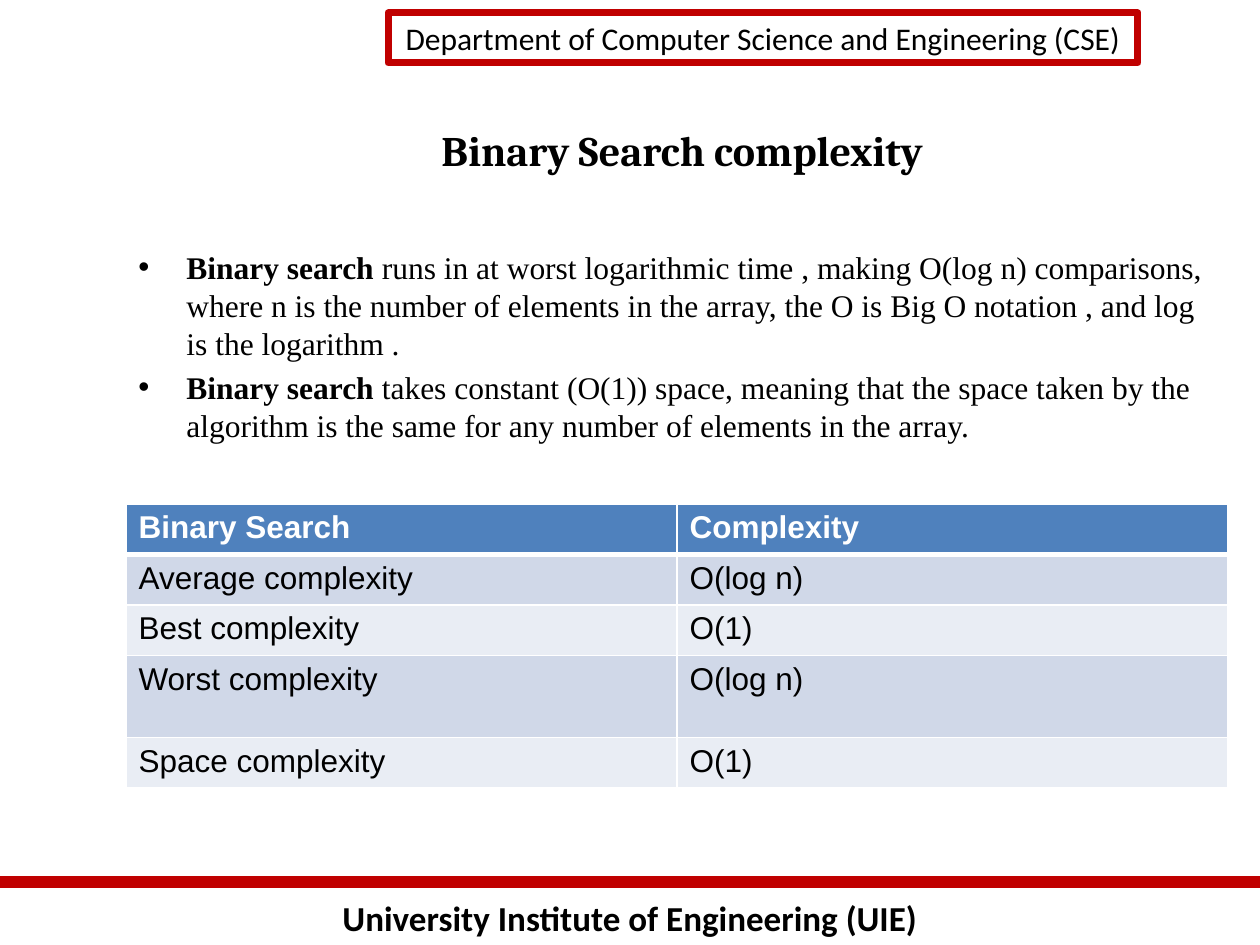
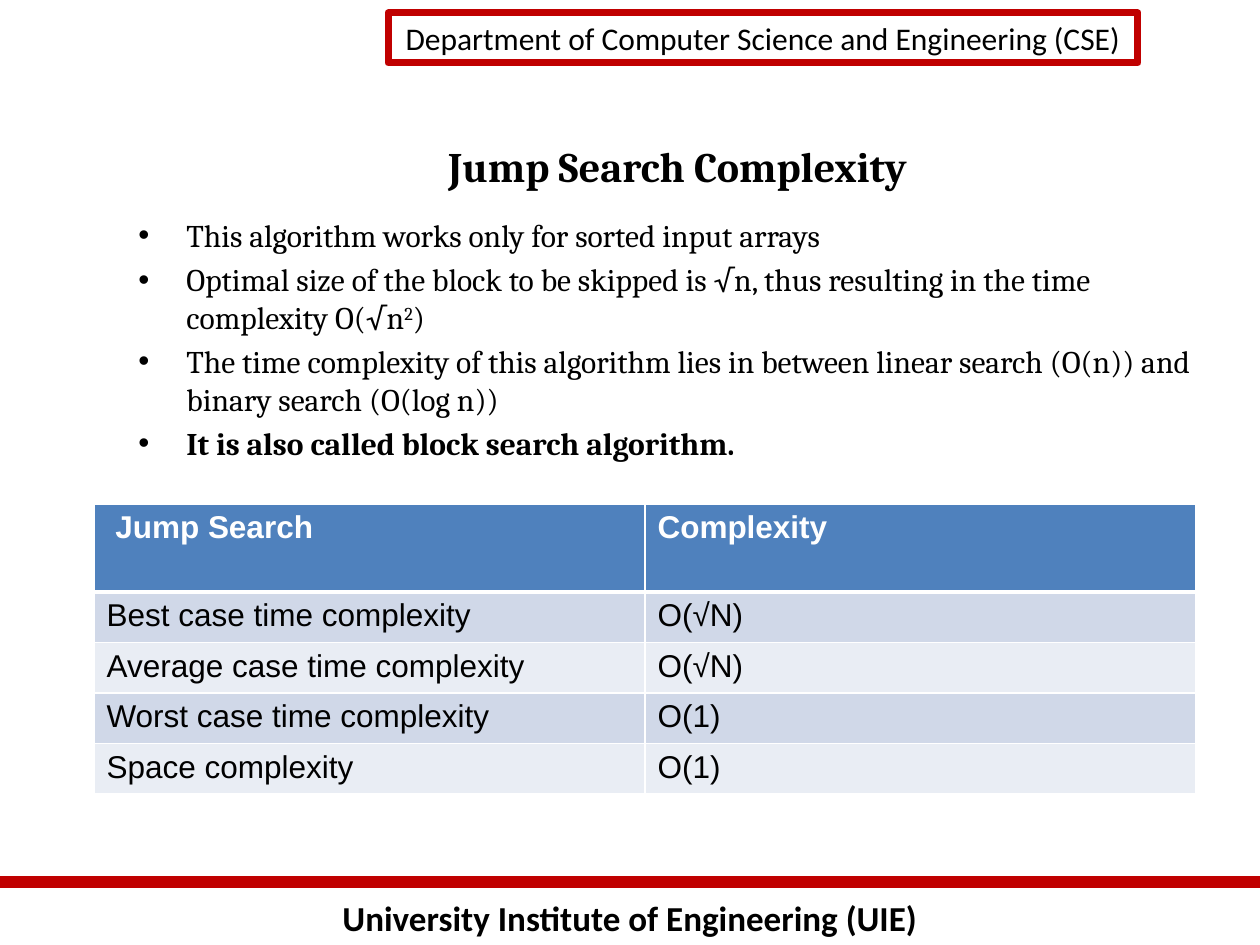
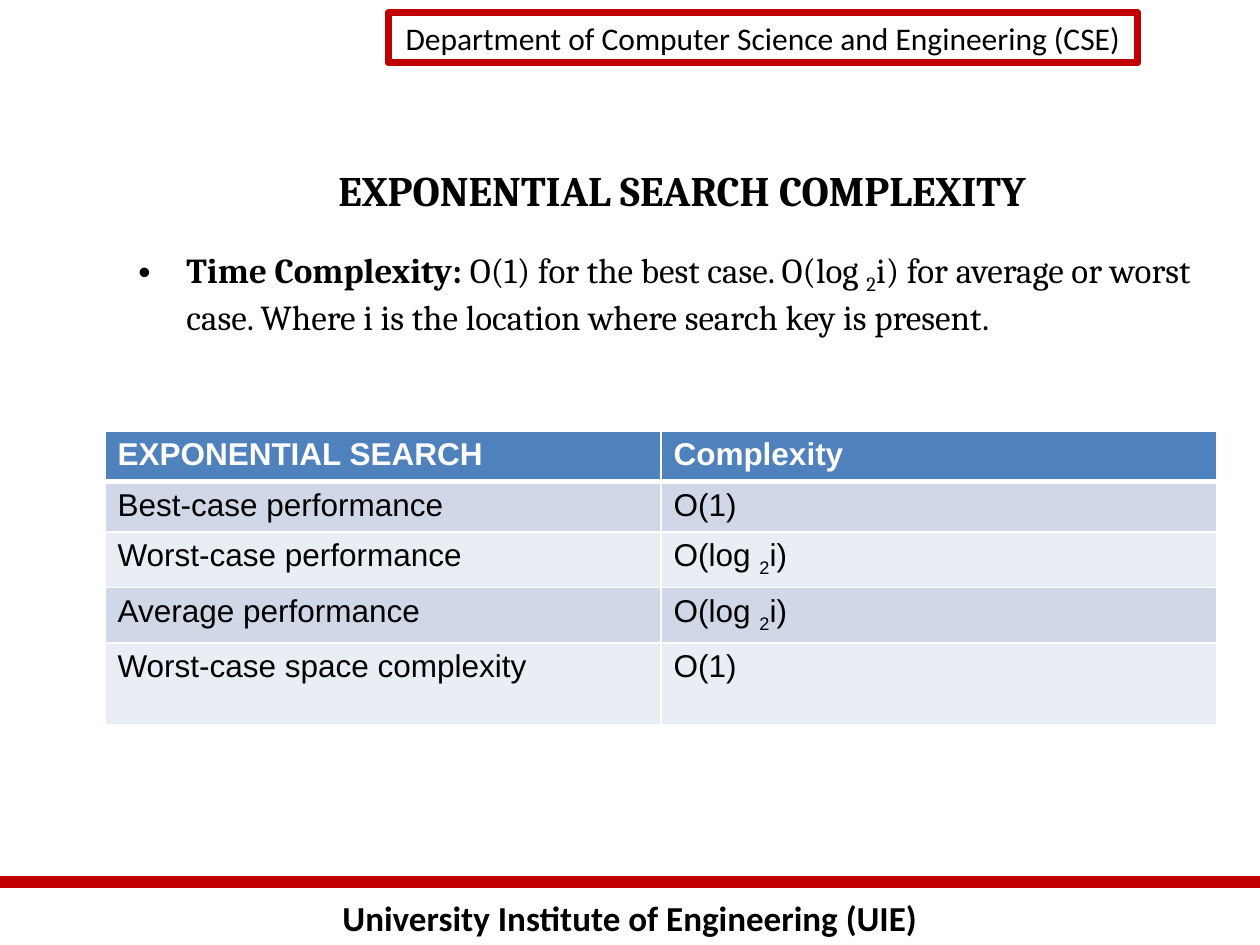
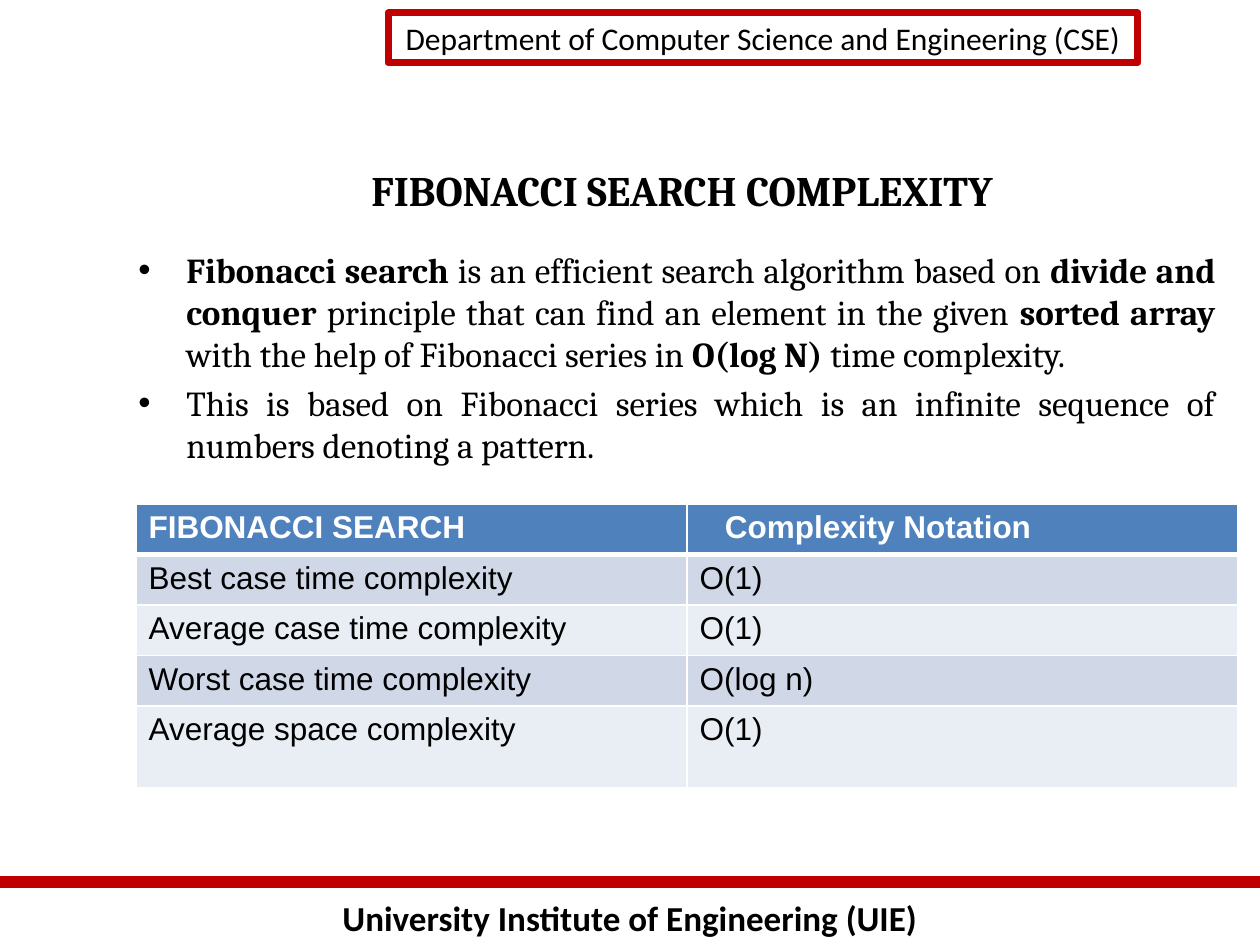
import pptx
import pptx.util
import pptx.dml.color
import pptx.enum.shapes
import pptx.enum.text
import pptx.oxml
import pptx.oxml.ns

RGBColor = pptx.dml.color.RGBColor
BLACK = RGBColor(0x00, 0x00, 0x00)
WHITE = RGBColor(0xFF, 0xFF, 0xFF)
BRAND_RED = RGBColor(0xC0, 0x00, 0x00)
HEADER_BLUE = RGBColor(0x4F, 0x81, 0xBD)
ROW_DARK = RGBColor(0xD0, 0xD8, 0xE8)
ROW_LIGHT = RGBColor(0xE9, 0xED, 0xF4)

Pt = pptx.util.Pt
ALIGN = pptx.enum.text.PP_ALIGN
ANCHOR = pptx.enum.text.MSO_ANCHOR
SLIDE_W, SLIDE_H = 1260, 945
BULLET_INDENT = 48
BASELINES = {"sup": 30000, "sub": -25000}
BORDER_XML = (
    '<a:{side} xmlns:a="http://schemas.openxmlformats.org/drawingml/2006/main" w="{width}">'
    '<a:solidFill><a:srgbClr val="FFFFFF"/></a:solidFill></a:{side}>'
)
LOG2_I = [("O(log ", ""), ("2", "sub"), ("i)", "")]


def px(count):
    """Turn pixels, 126 to the inch, into EMU."""
    return pptx.util.Emu(round(count * 914400 / 126))


def add_runs(paragraph, pieces, font, size, color=BLACK, bold=False):
    """Add a plain string, or (text, style) pairs with style "", "b", "sup" or "sub"."""
    for text, style in [(pieces, "")] if isinstance(pieces, str) else pieces:
        run = paragraph.add_run()
        run.text = text
        run.font.name = font
        run.font.size = Pt(size)
        run.font.color.rgb = color
        run.font.bold = bold or style == "b"
        if style in BASELINES:
            run._r.get_or_add_rPr().set("baseline", str(BASELINES[style]))


# Title, body and table places are (top, height) or (left, top, column width).
topics = [
    {
        "title": "Binary Search complexity",
        "title_place": (118, 114), "title_anchor": ANCHOR.TOP,
        "body_place": (242, 620), "body_font": "Times New Roman", "body_size": 18,
        "body_align": ALIGN.LEFT,
        "points": [
            [("Binary search", "b"),
             (" runs in at worst logarithmic time , making O(log n) comparisons, where n is "
              "the number of elements in the array, the O is Big O notation , and log is the "
              "logarithm .", "")],
            [("Binary search", "b"),
             (" takes constant (O(1)) space, meaning that the space taken by the algorithm "
              "is the same for any number of elements in the array.", "")],
        ],
        "table_place": (126, 504, 551), "row_heights": [48, 48, 48, 82, 48],
        "rows": [
            ("Binary Search", "Complexity"),
            ("Average complexity", "O(log n)"),
            ("Best complexity", "O(1)"),
            ("Worst complexity", "O(log n)"),
            ("Space complexity", "O(1)"),
        ],
    },
    {
        "title": "Jump Search Complexity ",
        "title_place": (134, 98), "title_anchor": ANCHOR.TOP,
        "body_place": (210, 651), "body_font": "Cambria", "body_size": 18,
        "body_align": ALIGN.LEFT,
        "points": [
            "This algorithm works only for sorted input arrays",
            [("Optimal size of the block to be skipped is √n, thus resulting in the time "
              "complexity O(√n", ""), ("2", "sup"), (")", "")],
            "The time complexity of this algorithm lies in between linear search (O(n)) and "
            "binary search (O(log n))",
            [("It is also called block search algorithm.", "b")],
        ],
        "table_place": (94, 504, 551), "row_heights": [88, 50, 50, 50, 50],
        "rows": [
            (" Jump Search", "Complexity"),
            ("Best case time complexity", "O(√N)"),
            ("Average case time complexity", "O(√N)"),
            ("Worst case time complexity", "O(1)"),
            ("Space complexity", "O(1)"),
        ],
    },
    {
        "title": "EXPONENTIAL SEARCH COMPLEXITY",
        "title_place": (147, 85), "title_anchor": ANCHOR.MIDDLE,
        "body_place": (242, 620), "body_font": "Cambria", "body_size": 20,
        "body_align": ALIGN.LEFT,
        "points": [
            [("Time Complexity:", "b"), (" O(1) for the best case. O(log ", ""), ("2", "sub"),
             ("i) for average or worst case. Where i is the location where search key is "
              "present.", "")],
        ],
        "table_place": (105, 431, 556), "row_heights": [48, 48, 53, 53, 82],
        "rows": [
            ("EXPONENTIAL SEARCH", "Complexity"),
            ("Best-case performance", "O(1)"),
            ("Worst-case performance", LOG2_I),
            ("Average performance", LOG2_I),
            ("Worst-case space complexity", "O(1)"),
        ],
    },
    {
        "title": "FIBONACCI SEARCH COMPLEXITY",
        "title_place": (147, 85), "title_anchor": ANCHOR.MIDDLE,
        "body_place": (242, 620), "body_font": "Cambria", "body_size": 20,
        "body_align": ALIGN.JUSTIFY,
        "points": [
            [("Fibonacci search", "b"),
             (" is an efficient search algorithm based on ", ""),
             ("divide and conquer", "b"),
             (" principle that can find an element in the given ", ""),
             ("sorted array", "b"),
             (" with the help of Fibonacci series in ", ""),
             ("O(log N)", "b"), (" time complexity.", "")],
            "This is based on Fibonacci series which is an infinite sequence of numbers "
            "denoting a pattern.",
        ],
        "table_place": (136, 504, 551), "row_heights": [48, 48, 48, 48, 82],
        "rows": [
            ("FIBONACCI SEARCH", "Complexity Notation"),
            ("Best case time complexity", "O(1)"),
            ("Average case time complexity", "O(1)"),
            ("Worst case time complexity", "O(log n)"),
            ("Average space complexity", "O(1)"),
        ],
    },
]

deck = pptx.Presentation()
deck.slide_width, deck.slide_height = px(SLIDE_W), px(SLIDE_H)

for topic in topics:
    slide = deck.slides.add_slide(deck.slide_layouts[6])
    shapes = slide.shapes

    # Footer, rule and department box
    institute = shapes.add_textbox(0, px(890), px(SLIDE_W), px(55)).text_frame
    institute.word_wrap = True
    institute.paragraphs[0].alignment = ALIGN.CENTER
    add_runs(institute.paragraphs[0], "University Institute of Engineering (UIE)",
             "Calibri", 20, bold=True)

    footer_rule = shapes.add_connector(
        pptx.enum.shapes.MSO_CONNECTOR.STRAIGHT, 0, px(882), px(SLIDE_W), px(882))
    footer_rule.line.color.rgb = BRAND_RED
    footer_rule.line.width = Pt(7)
    footer_rule._element.spPr.append(pptx.oxml.parse_xml(
        '<a:effectLst xmlns:a="http://schemas.openxmlformats.org/drawingml/2006/main"/>'))

    department = shapes.add_shape(
        pptx.enum.shapes.MSO_SHAPE.RECTANGLE, px(388), px(13), px(750), px(50))
    department.shadow.inherit = False
    department.fill.background()
    department.line.color.rgb = BRAND_RED
    department.line.width = Pt(4)
    department.text_frame.word_wrap = False
    department.text_frame.paragraphs[0].alignment = ALIGN.CENTER
    add_runs(department.text_frame.paragraphs[0],
             "Department of Computer Science and Engineering (CSE)", "Calibri", 18)

    # Title
    top, height = topic["title_place"]
    title = shapes.add_textbox(px(136), px(top), px(1092), px(height)).text_frame
    title.word_wrap = True
    title.vertical_anchor = topic["title_anchor"]
    title.paragraphs[0].alignment = ALIGN.CENTER
    add_runs(title.paragraphs[0], topic["title"], "Cambria", 24, bold=True)

    # Bullet points
    top, height = topic["body_place"]
    body = shapes.add_textbox(px(126), px(top), px(1102), px(height)).text_frame
    body.word_wrap = True
    for index, point in enumerate(topic["points"]):
        paragraph = body.add_paragraph() if index else body.paragraphs[0]
        paragraph.alignment = topic["body_align"]
        paragraph.space_before = Pt(topic["body_size"] * 0.2)
        properties = paragraph._p.get_or_add_pPr()
        properties.set("marL", str(px(BULLET_INDENT)))
        properties.set("indent", str(-px(BULLET_INDENT)))
        bullet_font = properties.makeelement(pptx.oxml.ns.qn("a:buFont"), {"typeface": "Arial"})
        bullet = properties.makeelement(pptx.oxml.ns.qn("a:buChar"), {"char": "•"})
        properties.extend([bullet_font, bullet])
        add_runs(paragraph, point, topic["body_font"], topic["body_size"])

    # Complexity table
    left, top, column_width = topic["table_place"]
    heights = topic["row_heights"]
    complexity = shapes.add_table(len(heights), 2, px(left), px(top),
                                  px(2 * column_width), px(sum(heights))).table
    for column in complexity.columns:
        column.width = px(column_width)
    for row_index, entries in enumerate(topic["rows"]):
        complexity.rows[row_index].height = px(heights[row_index])
        is_header = row_index == 0
        row_fill = HEADER_BLUE if is_header else ROW_DARK if row_index % 2 else ROW_LIGHT
        for column_index, entry in enumerate(entries):
            cell = complexity.cell(row_index, column_index)
            cell.fill.solid()
            cell.fill.fore_color.rgb = row_fill
            if entry == "Complexity Notation":
                cell.margin_left = px(38)
            add_runs(cell.text_frame.paragraphs[0], entry, "Arial", 18,
                     WHITE if is_header else BLACK, bold=is_header)
            thick_sides = {0: "lnB", 1: "lnT"}
            for position, side in enumerate(("lnL", "lnR", "lnT", "lnB")):
                points = 3 if thick_sides.get(row_index) == side else 1
                cell._tc.get_or_add_tcPr().insert(position, pptx.oxml.parse_xml(
                    BORDER_XML.format(side=side, width=Pt(points))))

deck.save("out.pptx")
